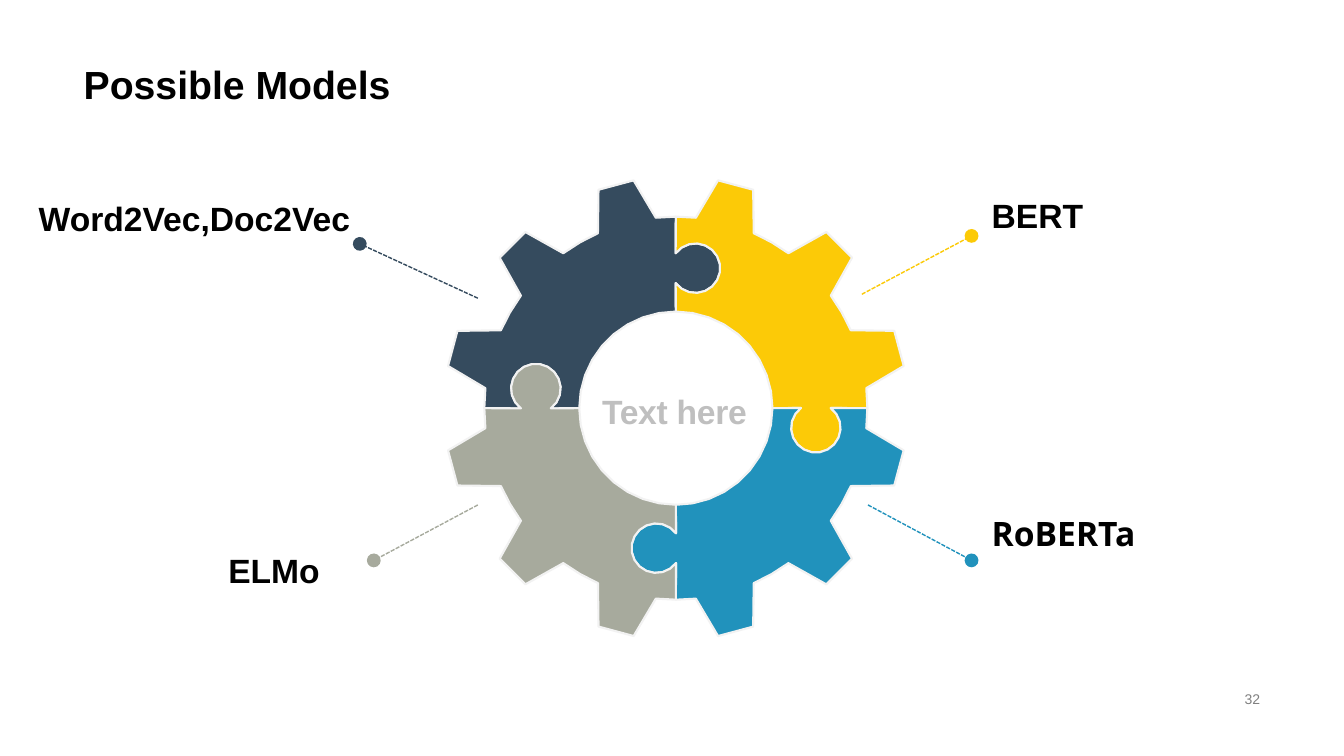
import math

import pptx
import pptx.dml.color
import pptx.enum.dml
import pptx.enum.shapes
import pptx.enum.text
import pptx.oxml
import pptx.oxml.ns
import pptx.util

Pt = pptx.util.Pt
ALIGN = pptx.enum.text.PP_ALIGN
ANCHOR = pptx.enum.text.MSO_ANCHOR

COLORS = {
    "navy": "354B5E", "yellow": "FCCA07", "blue": "2192BC", "stone": "A7AA9D",
    "edge": "F2F2F2", "text": "000000", "hint": "BFBFBF", "number": "808080",
}

# Gear geometry in points; angles in degrees, clockwise from the top
RIM, TIP, HOLE = 136.8, 165.5, 69
TOOTH_ANGLES = (15, 45, 75)
ROOT_HALF, TIP_HALF = 9, 4.5
KNOB_RADIUS, KNOB_OFFSET, KNOB_DISTANCE, NECK_HALF = 17.7, 14, 100, 37
CHORD_GAP = 0.25


def rgb(name):
    return pptx.dml.color.RGBColor.from_string(COLORS[name])


def style_text(tf, text, size, color, align, anchor, font="Arial", bold=True):
    tf.text = text
    tf.vertical_anchor = anchor
    p = tf.paragraphs[0]
    p.alignment = align
    r = p.runs[0]
    r.font.name, r.font.size, r.font.bold = font, Pt(size), bold
    r.font.color.rgb = rgb(color)


def add_text(s, box, text, size, color, align, **font):
    tf = s.shapes.add_textbox(*map(Pt, box)).text_frame
    tf.word_wrap = False
    style_text(tf, text, size, color, align, ANCHOR.MIDDLE, **font)
    return tf


def add_title(s, box, text):
    sp = s.shapes.title
    sp.left, sp.top, sp.width, sp.height = map(Pt, box)
    style_text(sp.text_frame, text, 28, "text", ALIGN.LEFT, ANCHOR.BOTTOM)
    sp.text_frame.paragraphs[0].line_spacing = 0.9


def arc(cx, cy, radius, start, end):
    """Points on an arc, just close enough to look round."""
    step = 2 * math.degrees(math.acos(1 - CHORD_GAP / radius))
    steps = max(1, round(abs(end - start) / step))
    angles = [math.radians(start + (end - start) * i / steps) for i in range(steps + 1)]
    return [(cx + radius * math.sin(a), cy - radius * math.cos(a)) for a in angles]


def quarter_outline():
    """Top right quarter of the gear, around the centre (0, 0)."""
    points, rim_start = [], 0
    for tooth in TOOTH_ANGLES:
        points += arc(0, 0, RIM, rim_start, tooth - ROOT_HALF)
        points += arc(0, 0, TIP, tooth - TIP_HALF, tooth + TIP_HALF)
        rim_start = tooth + ROOT_HALF
    points += arc(0, 0, RIM, rim_start, 90)
    # Knob on the lower edge, inner hole, socket on the left edge
    points += arc(KNOB_DISTANCE, KNOB_OFFSET, KNOB_RADIUS, NECK_HALF, 360 - NECK_HALF)
    points += arc(0, 0, HOLE, 90, 0)
    points += arc(KNOB_OFFSET, -KNOB_DISTANCE, KNOB_RADIUS, 270 - NECK_HALF, NECK_HALF - 90)
    return points


def add_gear(s, box, text):
    left, top, width, height = box
    cx, cy = left + width / 2, top + height / 2
    outline = quarter_outline()
    for turn, color in enumerate(("navy", "yellow", "blue", "stone"), start=-1):
        sin, cos = math.sin(turn * math.pi / 2), math.cos(turn * math.pi / 2)
        points = [(Pt(cx + x * cos - y * sin), Pt(cy + x * sin + y * cos)) for x, y in outline]
        builder = s.shapes.build_freeform(*points[0])
        builder.add_line_segments(points[1:], close=True)
        sp = builder.convert_to_shape()
        sp.shadow.inherit = False
        sp.fill.solid()
        sp.fill.fore_color.rgb = rgb(color)
        sp.line.color.rgb = rgb("edge")
        sp.line.width = Pt(1.5)
    # Text in the hole, slightly condensed
    tf = add_text(s, (cx - 66.6, cy - 15.8, 131, 36), text, 24, "hint", ALIGN.CENTER)
    tf.paragraphs[0].runs[0]._r.get_or_add_rPr().set("spc", "-20")


def add_callout(s, box, text, color, start, dot, font="Arial"):
    # Dashed line from the gear to a dot beside the label
    line = s.shapes.add_connector(
        pptx.enum.shapes.MSO_CONNECTOR.STRAIGHT, *map(Pt, start + dot))
    line.line.color.rgb = rgb(color)
    line.line.width = Pt(1)
    line.line.dash_style = pptx.enum.dml.MSO_LINE.SQUARE_DOT
    ns = pptx.oxml.ns.nsdecls("a")
    line.line._get_or_add_ln().append(
        pptx.oxml.parse_xml(f'<a:tailEnd {ns} type="oval" w="lg" len="lg"/>'))
    line._element.spPr.append(pptx.oxml.parse_xml(f"<a:effectLst {ns}/>"))
    # Label, aligned towards the dot
    align = ALIGN.LEFT if dot[0] > start[0] else ALIGN.RIGHT
    add_text(s, box, text, 24, "text", align, font=font)


def add_models_slide(prs):
    s = prs.slides.add_slide(prs.slide_layouts[5])
    add_title(s, (52.6, 0, 854.6, 80.6), "Possible Models")
    add_gear(s, (317.3, 126.1, 331, 331), "Text here")
    callouts = [
        ((701.3, 141.1, 206.6, 25.2), "BERT", "yellow", (615.6, 210.2), (694, 168.5)),
        ((701.3, 367.9, 206.6, 25.2), "RoBERTa", "blue", (620, 360.7), (694, 400.3), "Noto Sans"),
        ((5.8, 387.4, 229.7, 38.9), "ELMo", "stone", (341.3, 360.7), (267, 400.3)),
        ((17.1, 143.3, 240, 25.2), "Word2Vec,Doc2Vec", "navy", (341.3, 213), (257, 174.2)),
    ]
    for callout in callouts:
        add_callout(s, *callout)
    # Slide number
    add_text(s, (678.2, 491, 229, 16.6), "32", 10, "number", ALIGN.RIGHT, bold=False)


def main():
    prs = pptx.Presentation()
    prs.slide_width, prs.slide_height = Pt(960), Pt(540)
    add_models_slide(prs)
    prs.save("out.pptx")


if __name__ == "__main__":
    main()
